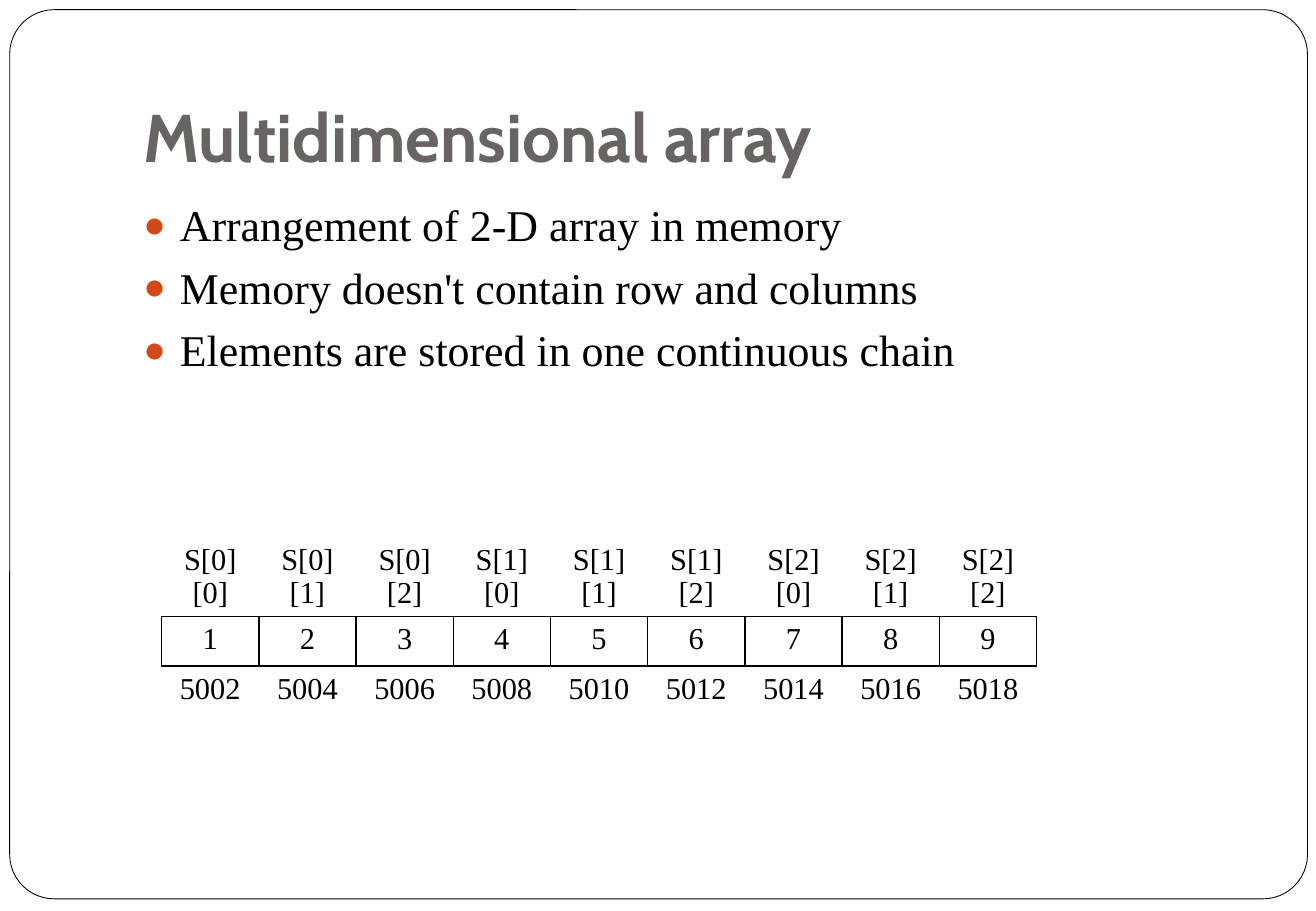
from dataclasses import dataclass

import lxml.etree
import pptx
import pptx.dml.color
import pptx.enum.shapes
import pptx.enum.text
import pptx.oxml.ns
import pptx.util
from pptx.util import Inches, Pt

RGB = pptx.dml.color.RGBColor.from_string
ALIGN = pptx.enum.text.PP_ALIGN
ANCHOR = pptx.enum.text.MSO_ANCHOR


@dataclass(frozen=True)
class Theme:
    title_font: str = "Cabin"
    text_font: str = "Times New Roman"
    title_size: float = 40
    body_size: float = 26
    cell_size: float = 18
    title_color: str = "696464"
    ink: str = "000000"
    paper: str = "FFFFFF"
    bullet_color: str = "D34817"


def add_xml(parent, tag, **attributes):
    return lxml.etree.SubElement(parent, pptx.oxml.ns.qn(tag), attributes)


class SlideBuilder:
    def __init__(self, slide, theme):
        self.slide = slide
        self.theme = theme

    def style(self, paragraph, font, size, color, align, bold=False):
        paragraph.alignment = align
        paragraph.font.name = font
        paragraph.font.size = Pt(size)
        paragraph.font.color.rgb = RGB(color)
        paragraph.font.bold = bold

    def place(self, placeholder, left, top, width, height, anchor):
        placeholder.left, placeholder.top = Inches(left), Inches(top)
        placeholder.width, placeholder.height = Inches(width), Inches(height)
        frame = placeholder.text_frame
        frame.auto_size = pptx.enum.text.MSO_AUTO_SIZE.NONE
        frame.vertical_anchor = anchor
        return frame

    def border(self, left, top, width, height):
        """Draw the rounded outline behind everything else."""
        outline = self.slide.shapes.add_shape(
            pptx.enum.shapes.MSO_SHAPE.ROUNDED_RECTANGLE,
            Inches(left), Inches(top), Inches(width), Inches(height))
        outline.adjustments[0] = 0.05
        outline.shadow.inherit = False
        outline.fill.solid()
        outline.fill.fore_color.rgb = RGB(self.theme.paper)
        outline.line.color.rgb = RGB(self.theme.ink)
        outline.line.width = Pt(0.5)
        self.slide.shapes._spTree.insert(2, outline._element)

    def title(self, text, *box):
        frame = self.place(self.slide.shapes.title, *box, ANCHOR.BOTTOM)
        frame.margin_bottom = Inches(0.1)
        frame.text = text
        self.style(frame.paragraphs[0], self.theme.title_font, self.theme.title_size,
                   self.theme.title_color, ALIGN.LEFT, bold=True)

    def bullets(self, points, *box):
        frame = self.place(self.slide.placeholders[1], *box, ANCHOR.TOP)
        frame.text = "\n".join(points)
        for paragraph in frame.paragraphs:
            properties = paragraph._p.get_or_add_pPr()
            properties.set("marL", str(Inches(0.3)))
            properties.set("indent", str(-Inches(0.3)))
            bullet_color = add_xml(properties, "a:buClr")
            add_xml(bullet_color, "a:srgbClr", val=self.theme.bullet_color)
            add_xml(properties, "a:buSzPct", val="85000")
            add_xml(properties, "a:buChar", char="●")
            paragraph.space_before = Pt(5.8)
            self.style(paragraph, self.theme.text_font, self.theme.body_size,
                       self.theme.ink, ALIGN.LEFT)

    def cell_borders(self, cell, drawn_sides):
        properties = cell._tc.get_or_add_tcPr()
        for side in "LRTB":
            line = add_xml(properties, f"a:ln{side}", w=str(Pt(1)))
            if side in drawn_sides:
                add_xml(add_xml(line, "a:solidFill"), "a:srgbClr", val=self.theme.ink)
            else:
                add_xml(line, "a:noFill")

    def table(self, rows, row_borders, left, top, column_width, row_height):
        columns = len(rows[0])
        grid = self.slide.shapes.add_table(
            len(rows), columns, Inches(left), Inches(top),
            Inches(column_width * columns), Inches(row_height * len(rows))).table
        grid.first_row = grid.horz_banding = False
        for r, (values, drawn_sides) in enumerate(zip(rows, row_borders)):
            for c, value in enumerate(values):
                cell = grid.cell(r, c)
                cell.text = str(value)
                self.cell_borders(cell, drawn_sides)
                cell.fill.background()
                self.style(cell.text_frame.paragraphs[0], self.theme.text_font,
                           self.theme.cell_size, self.theme.ink, ALIGN.CENTER)


def main():
    presentation = pptx.Presentation()
    presentation.slide_width, presentation.slide_height = Inches(10.83), Inches(7.5)
    slide = presentation.slides.add_slide(presentation.slide_layouts[1])
    builder = SlideBuilder(slide, Theme())

    builder.border(0.08, 0.08, 10.68, 7.32)
    builder.title("Multidimensional array", 1.08, 0.3, 9.21, 1.25)
    builder.bullets(["Arrangement of 2-D array in memory",
                     "Memory doesn't contain row and columns",
                     "Elements are stored in one continuous chain"],
                    1.08, 1.58, 9.21, 5)

    elements = [f"S[{i}][{j}]" for i in range(3) for j in range(3)]
    values = range(1, 10)
    addresses = [5000 + 2 * value for value in values]
    builder.table([elements, values, addresses], ["B", "LRTB", "T"],
                  left=1.33, top=4.42, column_width=0.8, row_height=0.41)
    presentation.save("out.pptx")


if __name__ == "__main__":
    main()
